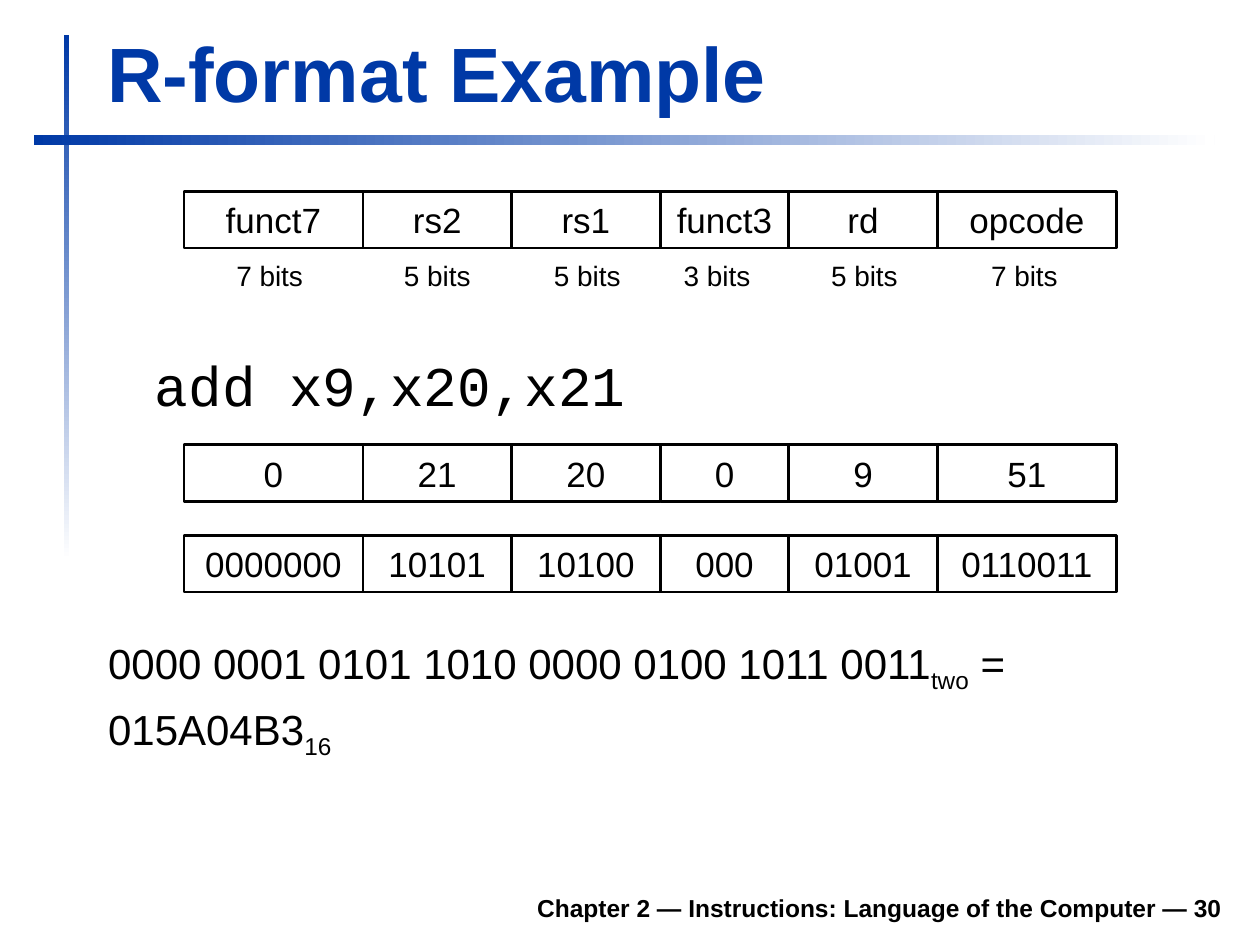
from dataclasses import dataclass
from itertools import accumulate

from pptx import Presentation
from pptx import util as u
from pptx.dml.color import RGBColor
from pptx.enum import shapes, text

BLUE = RGBColor(0x00, 0x39, 0xA6)
BLACK = RGBColor(0x00, 0x00, 0x00)
WHITE = RGBColor(0xFF, 0xFF, 0xFF)

GRID_COLUMNS, GRID_ROWS = 100, 75
UNIT = u.Inches(0.1)
TABLE_LEFT = 14.6
CELL_ROWS = 4.5
LABEL_ROW = 20


@dataclass(frozen=True)
class Box:
    column: float
    row: float
    columns: float
    rows: float

    def lengths(self) -> list[int]:
        return [round(value * UNIT) for value in (self.column, self.row, self.columns, self.rows)]


@dataclass(frozen=True)
class Style:
    size: float
    color: RGBColor = BLACK
    bold: bool = False
    font: str = "Arial"


@dataclass(frozen=True)
class Field:
    name: str
    bits: str
    decimal: str
    binary: str
    columns: float
    label_shift: float = 0


@dataclass(frozen=True)
class Piece:
    wording: str
    subscript: bool = False


TITLE = Style(44, BLUE, True)
CODE = Style(32, font="Courier New")
RESULT = Style(24)
CELL = Style(20)
LABEL = Style(16)
FOOTER = Style(14, bold=True)

FIELDS = [
    Field("funct7", "7 bits", "0", "0000000", 14.2, -0.3),
    Field("rs2", "5 bits", "21", "10101", 11.8),
    Field("rs1", "5 bits", "20", "10100", 11.8, 0.1),
    Field("funct3", "3 bits", "0", "000", 10.2, -0.6),
    Field("rd", "5 bits", "9", "01001", 11.8, 0.1),
    Field("opcode", "7 bits", "51", "0110011", 14.2, -0.2),
]
LEFTS = list(accumulate((field.columns for field in FIELDS), initial=TABLE_LEFT))
VALUE_ROWS = {"name": 15.2, "decimal": 35.3, "binary": 42.5}

RESULT_LINES = [
    [Piece("0000 0001 0101 1010 0000 0100 1011 0011"), Piece("two", True), Piece(" =")],
    [Piece("015A04B3"), Piece("16", True)],
]


def add_run(paragraph, piece: Piece, style: Style) -> None:
    run = paragraph.add_run()
    run.text = piece.wording
    run.font.size = u.Pt(style.size)
    run.font.name = style.font
    run.font.bold = style.bold
    run.font.color.rgb = style.color
    if piece.subscript:
        run._r.get_or_add_rPr().set("baseline", "-25000")


def write(shape, lines: list[list[Piece]], style: Style, alignment=text.PP_ALIGN.LEFT,
          anchor=text.MSO_ANCHOR.TOP, space_before: float = 0, wrap: bool = True) -> None:
    frame = shape.text_frame
    frame.word_wrap = wrap
    frame.auto_size = text.MSO_AUTO_SIZE.NONE
    frame.vertical_anchor = anchor
    for index, line in enumerate(lines):
        paragraph = frame.add_paragraph() if index else frame.paragraphs[0]
        paragraph.alignment = alignment
        paragraph.space_before = u.Pt(space_before)
        for piece in line:
            add_run(paragraph, piece, style)


def add_text(slide, box: Box, lines: list[list[Piece]], style: Style, **layout):
    shape = slide.shapes.add_textbox(*box.lengths())
    write(shape, lines, style, **layout)
    return shape


def add_rectangle(slide, box: Box):
    shape = slide.shapes.add_shape(shapes.MSO_SHAPE.RECTANGLE, *box.lengths())
    shape.shadow.inherit = False
    return shape


def add_fading_bar(slide, box: Box, angle: float) -> None:
    shape = add_rectangle(slide, box)
    shape.line.fill.background()
    shape.fill.gradient()
    shape.fill.gradient_angle = angle
    for stop, color in zip(shape.fill.gradient_stops, (BLUE, WHITE)):
        stop.color.rgb = color


def add_cell(slide, box: Box, wording: str) -> None:
    shape = add_rectangle(slide, box)
    shape.fill.background()
    shape.line.color.rgb = BLACK
    shape.line.width = u.Pt(1.5)
    write(shape, [[Piece(wording)]], CELL, alignment=text.PP_ALIGN.CENTER,
          anchor=text.MSO_ANCHOR.MIDDLE)


def add_fields(slide) -> None:
    for attribute, row in VALUE_ROWS.items():
        for field, left in zip(FIELDS, LEFTS):
            add_cell(slide, Box(left, row, field.columns, CELL_ROWS), getattr(field, attribute))
    for field, left in zip(FIELDS, LEFTS):
        box = Box(left + field.label_shift, LABEL_ROW, field.columns, 3.7)
        add_text(slide, box, [[Piece(field.bits)]], LABEL,
                 alignment=text.PP_ALIGN.CENTER, wrap=False)


def main() -> None:
    presentation = Presentation()
    presentation.slide_width = GRID_COLUMNS * UNIT
    presentation.slide_height = GRID_ROWS * UNIT
    slide = presentation.slides.add_slide(presentation.slide_layouts[5])

    add_fading_bar(slide, Box(5.1, 2.8, 0.4, 41.7), 270)
    add_fading_bar(slide, Box(2.7, 10.7, 93.7, 0.8), 0)

    title = slide.shapes.title
    title.left, title.top, title.width, title.height = Box(7.5, 1.6, 90.3, 8.3).lengths()
    write(title, [[Piece("R-format Example")]], TITLE, anchor=text.MSO_ANCHOR.BOTTOM)

    add_fields(slide)
    code = add_text(slide, Box(7.5, 27.3, 90.5, 7.1), [[Piece("add x9,x20,x21")]], CODE,
                    space_before=6.4)
    code.text_frame.margin_left = u.Inches(0.48)
    add_text(slide, Box(7.6, 50.1, 79.4, 15.5), RESULT_LINES, RESULT, space_before=4.8)
    add_text(slide, Box(18.5, 69.8, 79.5, 3.9),
             [[Piece("Chapter 2 — Instructions: Language of the Computer — 30")]], FOOTER,
             alignment=text.PP_ALIGN.RIGHT, anchor=text.MSO_ANCHOR.BOTTOM)

    presentation.save("out.pptx")


if __name__ == "__main__":
    main()
